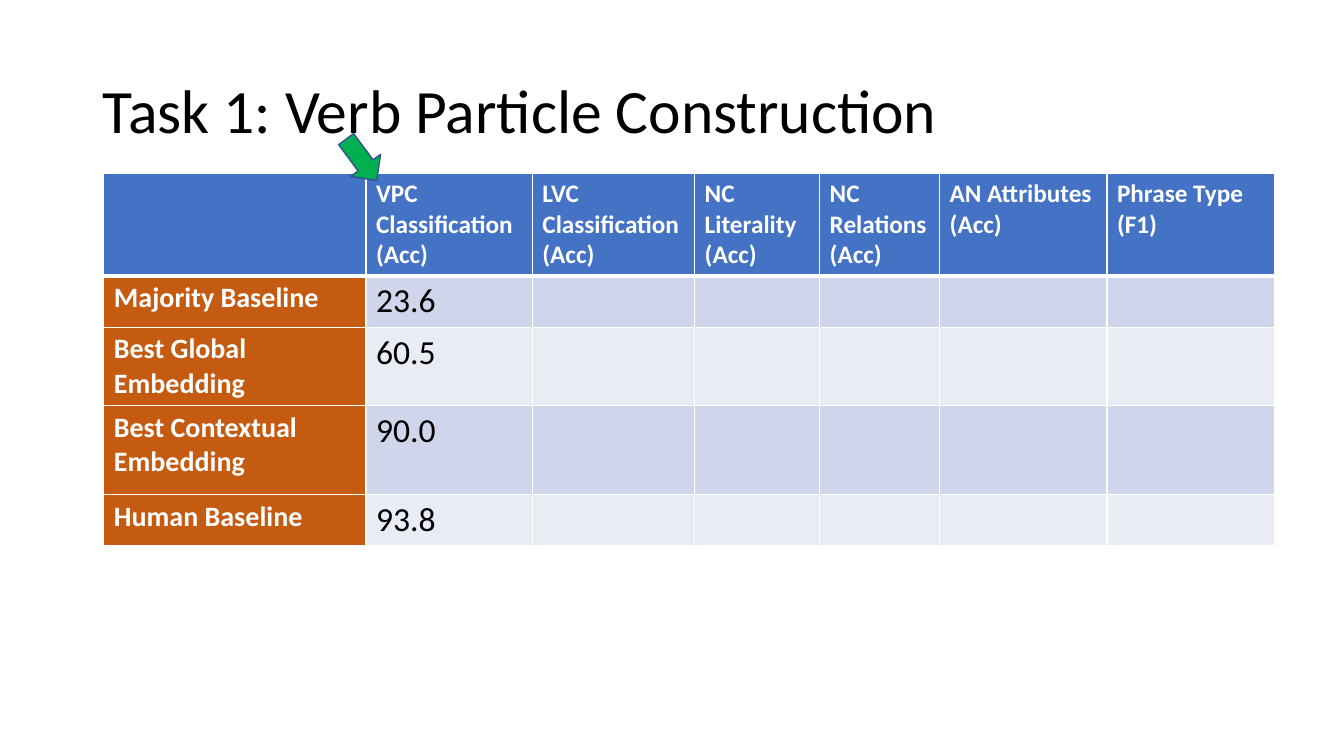
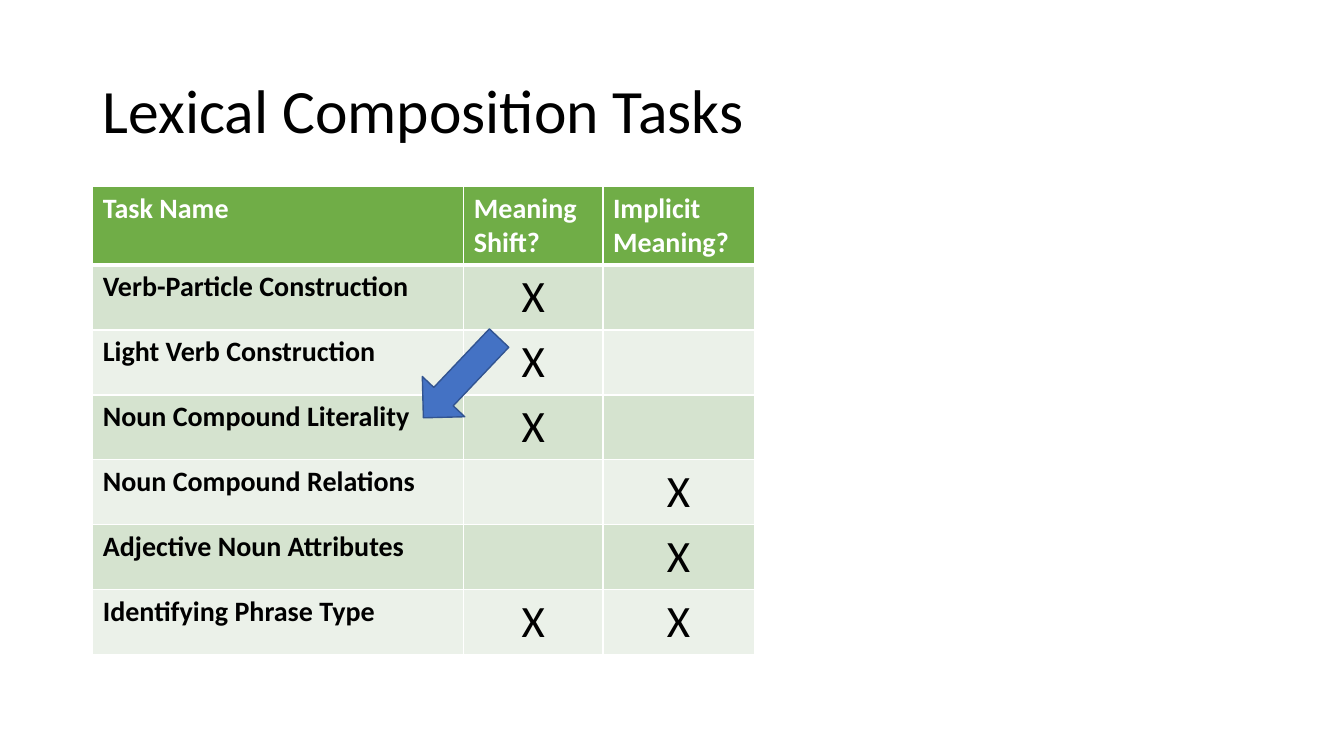
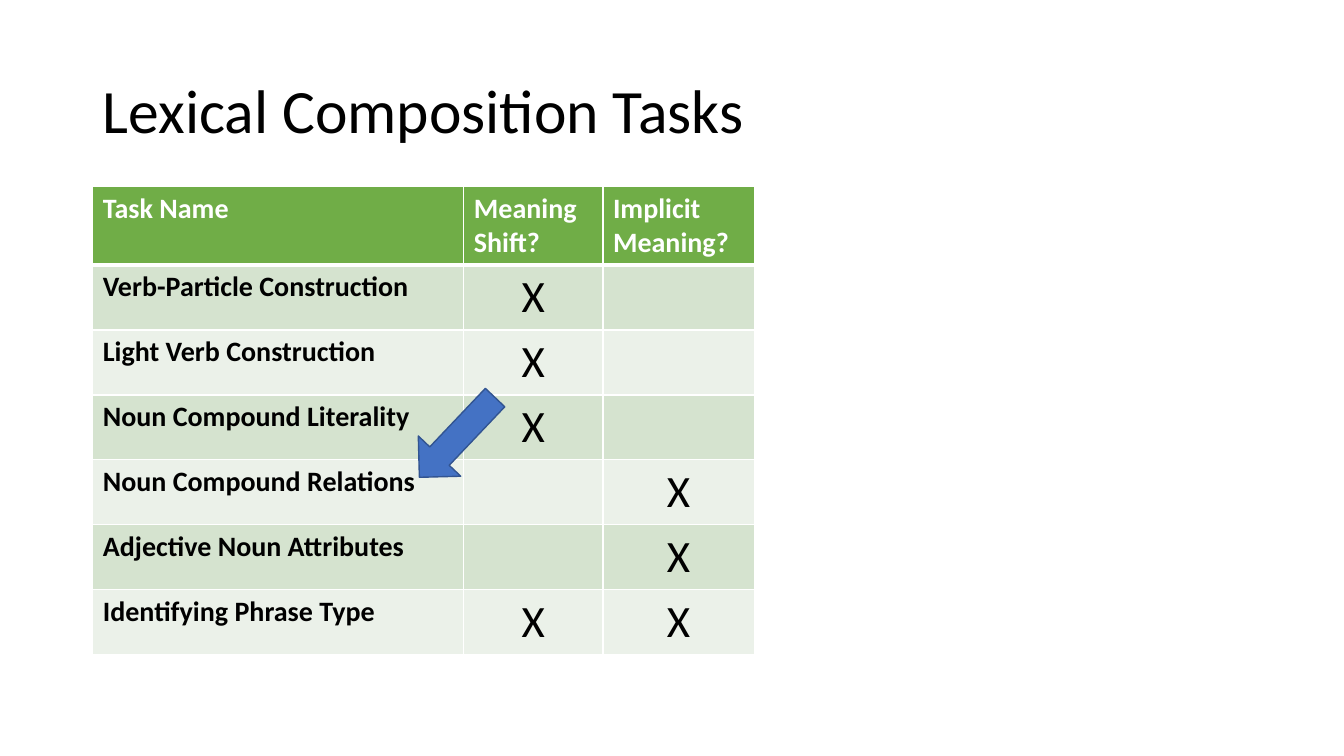
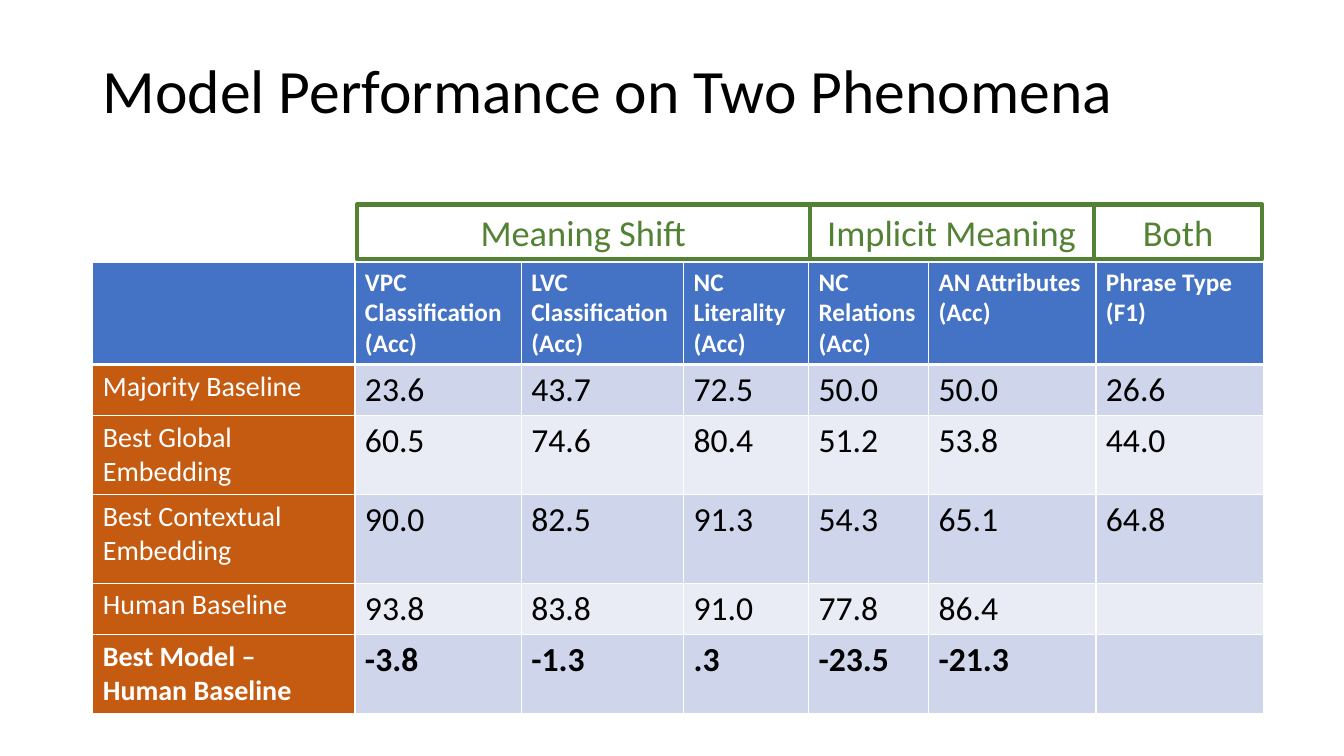
from itertools import accumulate

from lxml import etree
from pptx import Presentation
from pptx.dml.color import RGBColor
from pptx.enum.shapes import MSO_SHAPE
from pptx.enum.text import MSO_ANCHOR, MSO_AUTO_SIZE, PP_ALIGN
from pptx.oxml.ns import qn
from pptx.util import Inches, Pt

LEFT, CENTER = PP_ALIGN.LEFT, PP_ALIGN.CENTER
MIDDLE = MSO_ANCHOR.MIDDLE
NO_FIT, GROW = MSO_AUTO_SIZE.NONE, MSO_AUTO_SIZE.SHAPE_TO_FIT_TEXT
LEFT_ARROW, RECTANGLE = MSO_SHAPE.LEFT_ARROW, MSO_SHAPE.RECTANGLE

# Shared look
FONT = "Calibri"
WHITE, BLACK = "FFFFFF", "000000"
BLUE, ORANGE, GREEN = "4472C4", "C55A11", "70AD47"
ARROW_GREEN, ARROW_EDGE, TAG_GREEN = "00B050", "325491", "548235"
BLUE_BANDS = ("CFD5EA", "E9EBF5")
GREEN_BANDS = ("D5E3CF", "EBF1E9")
TITLE_BOX = (0.92, 0.4, 11.5, 1.45)

# Content: model scores
SCORE_HEAD = ["", "VPC Classification (Acc)", "LVC Classification (Acc)",
              "NC Literality (Acc)", "NC Relations (Acc)",
              "AN Attributes (Acc)", "Phrase Type (F1)"]
SCORES = [
    ["Majority Baseline", "23.6", "43.7", "72.5", "50.0", "50.0", "26.6"],
    ["Best Global Embedding", "60.5", "74.6", "80.4", "51.2", "53.8", "44.0"],
    ["Best Contextual Embedding", "90.0", "82.5", "91.3", "54.3", "65.1", "64.8"],
    ["Human Baseline", "93.8", "83.8", "91.0", "77.8", "86.4", ""],
]
GAP_ROW = ["Best Model –\nHuman Baseline", "-3.8", "-1.3", ".3", "-23.5", "-21.3", ""]
SCORE_COLS = [2.6, 1.65, 1.61, 1.24, 1.19, 1.66, 1.66]
SCORE_ROWS = [1.01, 0.51, 0.78, 0.88, 0.51]
GAP_HEIGHT = 0.78

# Content: tasks
TASKS = [
    ["Task Name", "Meaning Shift?", "Implicit Meaning?"],
    ["Verb-Particle Construction", "X", ""],
    ["Light Verb Construction", "X", ""],
    ["Noun Compound Literality", "X", ""],
    ["Noun Compound Relations", "", "X"],
    ["Adjective Noun Attributes", "", "X"],
    ["Identifying Phrase Type", "X", "X"],
]
TASK_COLS = [3.68, 1.38, 1.5]
TASK_ROWS = [0.77] + [0.64] * 6
TASK_ARROWS = [(4.03, 3.46), (3.99, 4.05)]

# Content: phenomenon tags with their widths
TAGS = [("Meaning Shift", 4.49), ("Implicit Meaning", 2.82), ("Both", 1.67)]
TAG_LEFT, TAG_TOP, TAG_HEIGHT = 3.54, 2.03, 0.54


def rgb(value):
    return RGBColor.from_string(value)


def write(frame, text, size, color, bold=False, align=LEFT):
    for i, line in enumerate(text.split("\n")):
        paragraph = frame.add_paragraph() if i else frame.paragraphs[0]
        paragraph.alignment = align
        run = paragraph.add_run()
        run.text = line
        run.font.name, run.font.size, run.font.bold = FONT, Pt(size), bold
        run.font.color.rgb = rgb(color)


def add_titled_slide(deck, title):
    slide = deck.slides.add_slide(deck.slide_layouts[5])
    frame = slide.shapes.title.text_frame
    frame.auto_size = NO_FIT
    write(frame, title, 44, BLACK)
    frame.paragraphs[0].line_spacing = 0.9
    return slide


def set_borders(cell, top, bottom):
    widths = (("a:lnL", 1), ("a:lnR", 1), ("a:lnT", top), ("a:lnB", bottom))
    for i, (tag, width) in enumerate(widths):
        line = etree.Element(qn(tag), w=str(Pt(width)))
        fill = etree.SubElement(line, qn("a:solidFill"))
        etree.SubElement(fill, qn("a:srgbClr"), val=WHITE)
        cell._tc.get_or_add_tcPr().insert(i, line)


def add_grid(slide, left, top, rows, widths, heights, style):
    """style(row, column) gives the fill and the text settings of a cell."""
    table = slide.shapes.add_table(
        len(rows), len(widths), Inches(left), Inches(top),
        Inches(sum(widths)), Inches(sum(heights))).table
    table.horz_banding = False
    for column, width in zip(table.columns, widths):
        column.width = Inches(width)
    for r, (texts, height) in enumerate(zip(rows, heights)):
        table.rows[r].height = Inches(height)
        for c, text in enumerate(texts):
            cell = table.cell(r, c)
            fill, settings = style(r, c)
            cell.fill.solid()
            cell.fill.fore_color.rgb = rgb(fill)
            set_borders(cell, 3 if r == 1 else 1, 3 if r == 0 else 1)
            if text:
                write(cell.text_frame, text, **settings)


def add_scores(slide, left, top, rows, heights, bold_labels):
    def style(r, c):
        gap = r > len(SCORES)
        if r == 0:
            return BLUE, dict(size=18, color=WHITE, bold=True)
        if c == 0:
            return ORANGE, dict(size=20, color=WHITE, bold=bold_labels or gap)
        return BLUE_BANDS[(r - 1) % 2], dict(size=24, color=BLACK, bold=gap)

    add_grid(slide, left, top, [SCORE_HEAD] + rows, SCORE_COLS, heights, style)


def task_style(r, c):
    if r == 0:
        return GREEN, dict(size=20, color=WHITE, bold=True)
    band = GREEN_BANDS[(r - 1) % 2]
    if c == 0:
        return band, dict(size=20, color=BLACK, bold=True)
    return band, dict(size=32, color=BLACK, align=CENTER)


def add_box(slide, kind, left, top, width, height, edge, weight):
    box = slide.shapes.add_shape(
        kind, Inches(left), Inches(top), Inches(width), Inches(height))
    box.shadow.inherit = False
    box.line.color.rgb = rgb(edge)
    box.line.width = Pt(weight)
    return box


def add_pointer(slide, left, top, width, height, angle, color, shaft=0.5):
    arrow = add_box(slide, LEFT_ARROW, left, top, width, height, ARROW_EDGE, 1)
    arrow.fill.solid()
    arrow.fill.fore_color.rgb = rgb(color)
    arrow.adjustments[0] = shaft
    arrow.rotation = angle


def main():
    deck = Presentation()
    deck.slide_width, deck.slide_height = Inches(13.33), Inches(7.5)

    # Title place, set once on the layout
    heading = deck.slide_layouts[5].placeholders[0]
    heading.left, heading.top, heading.width, heading.height = map(Inches, TITLE_BOX)
    heading.text_frame.vertical_anchor = MIDDLE

    # Verb particle scores only
    slide = add_titled_slide(deck, "Task 1: Verb Particle Construction")
    vpc_only = [row[:2] + [""] * (len(row) - 2) for row in SCORES]
    add_scores(slide, 1.03, 1.72, vpc_only, SCORE_ROWS, True)
    add_pointer(slide, 3.33, 1.4, 0.51, 0.37, 233.5, ARROW_GREEN)

    # Task list, with the arrow on one task after the other
    for left, top in TASK_ARROWS:
        slide = add_titled_slide(deck, "Lexical Composition Tasks")
        add_grid(slide, 0.92, 1.85, TASKS, TASK_COLS, TASK_ROWS, task_style)
        add_pointer(slide, left, top, 1.09, 0.58, 313.5, BLUE, 0.457)

    # All scores, grouped by phenomenon
    slide = add_titled_slide(deck, "Model Performance on Two Phenomena")
    title = slide.shapes.title
    title.left, title.top, title.width = map(Inches, TITLE_BOX[:3])
    title.height = Inches(1.05)
    add_scores(slide, 0.92, 2.6, SCORES + [GAP_ROW], SCORE_ROWS + [GAP_HEIGHT], False)
    tag_lefts = accumulate((width for _, width in TAGS), initial=TAG_LEFT)
    for (text, width), left in zip(TAGS, tag_lefts):
        tag = add_box(slide, RECTANGLE, left, TAG_TOP, width, TAG_HEIGHT, TAG_GREEN, 3)
        tag.fill.background()
        tag.text_frame.word_wrap = True
        tag.text_frame.auto_size = GROW
        tag.text_frame.vertical_anchor = MIDDLE
        write(tag.text_frame, text, 26, TAG_GREEN, align=CENTER)

    deck.save("out.pptx")


if __name__ == "__main__":
    main()
